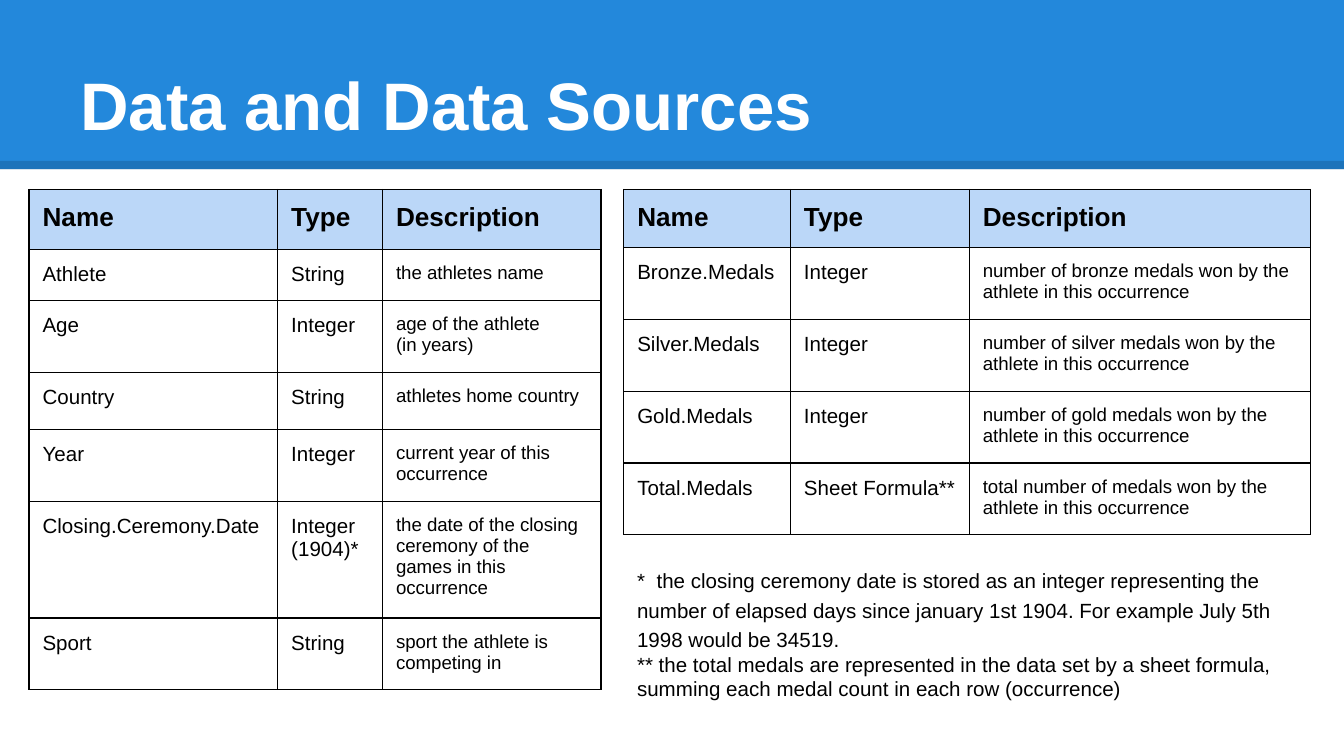
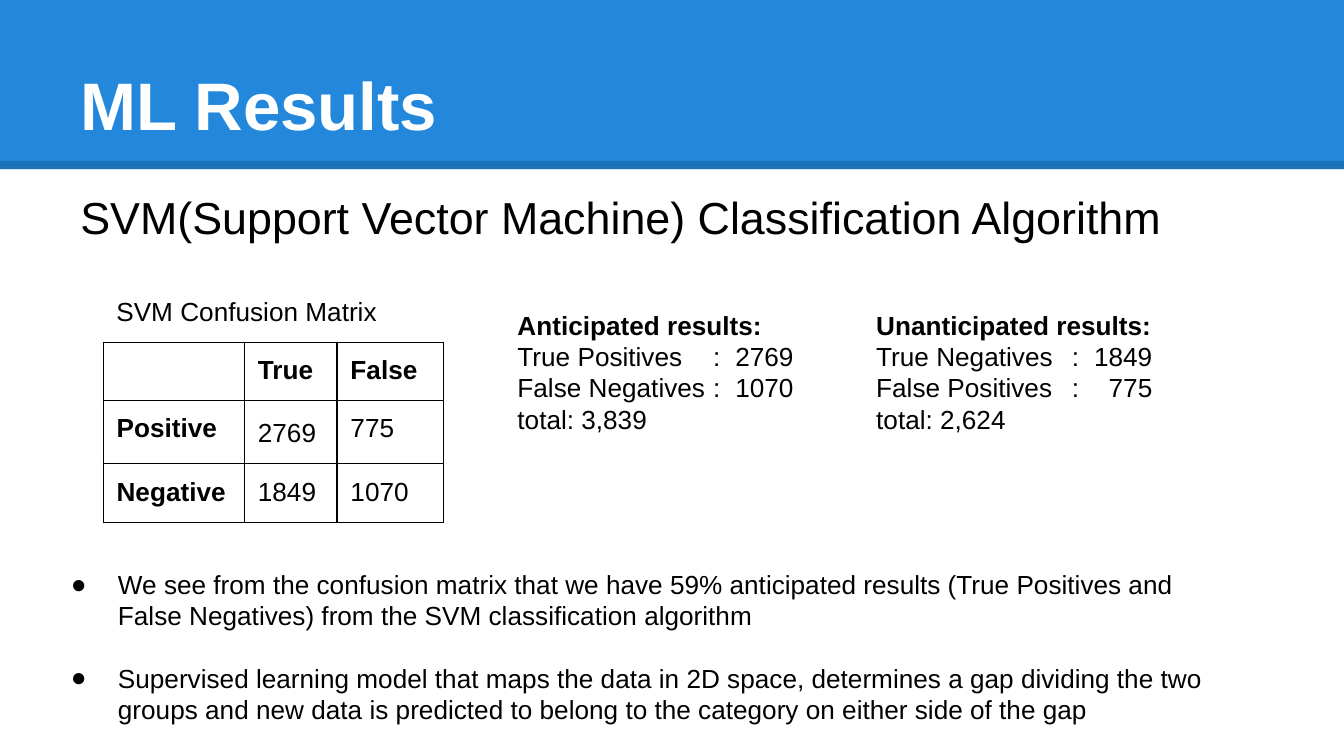
from dataclasses import dataclass

from lxml.etree import SubElement
from pptx import Presentation
from pptx.dml.color import RGBColor
from pptx.enum.shapes import MSO_CONNECTOR, MSO_SHAPE
from pptx.enum.text import MSO_ANCHOR
from pptx.oxml.ns import qn
from pptx.util import Cm, Pt

COLORS = {"band": "2388DB", "header": "BBD7F8", "ink": "000000", "paper": "FFFFFF"}
FONT = "Arial"
INSET = Cm(0.254)


@dataclass
class Line:
    """One paragraph and its formatting; tabs are (position in cm, alignment)."""
    text: str
    size: float = 14
    bold: bool = False
    color: str = "ink"
    spacing: float = 1.0
    before: float = 0
    bullet: bool = False
    tabs: tuple = ()


def rgb(name):
    return RGBColor.from_string(COLORS[name])


class Board:
    def __init__(self, width, height):
        self.deck = Presentation()
        self.deck.slide_width = Cm(width)
        self.deck.slide_height = Cm(height)
        self.page = None

    def new_page(self, title):
        self.page = self.deck.slides.add_slide(self.deck.slide_layouts[6])
        self.band()
        self.text((1.27, 0.58, 22.86, 2.39),
                  [Line(title, 36, True, "paper")], MSO_ANCHOR.BOTTOM)

    def band(self):
        box = self.page.shapes.add_shape(
            MSO_SHAPE.RECTANGLE, 0, 0, self.deck.slide_width, Cm(3.2))
        box.shadow.inherit = False
        box.fill.solid()
        box.fill.fore_color.rgb = rgb("band")
        box.line.fill.background()
        # Translucent edge along the foot of the band
        edge = self.page.shapes.add_connector(
            MSO_CONNECTOR.STRAIGHT, 0, Cm(3.12), self.deck.slide_width, Cm(3.12))
        edge.line.color.rgb = rgb("ink")
        edge.line.width = Pt(4.5)
        properties = edge._element.spPr
        color = properties.find(".//" + qn("a:srgbClr"))
        SubElement(color, qn("a:alpha")).set("val", "15000")
        SubElement(properties, qn("a:effectLst"))

    def fill_text(self, frame, lines):
        for index, line in enumerate(lines):
            para = frame.add_paragraph() if index else frame.paragraphs[0]
            para.line_spacing = line.spacing
            para.space_before = Pt(line.before)
            properties = para._p.get_or_add_pPr()
            if line.bullet:
                properties.set("marL", str(Cm(1.27)))
                properties.set("indent", str(-Cm(0.89)))
                color = SubElement(properties, qn("a:buClr"))
                SubElement(color, qn("a:srgbClr")).set("val", COLORS["ink"])
                SubElement(properties, qn("a:buFont")).set("typeface", FONT)
                SubElement(properties, qn("a:buChar")).set("char", "●")
            if line.tabs:
                stops = SubElement(properties, qn("a:tabLst"))
                for position, align in line.tabs:
                    stop = SubElement(stops, qn("a:tab"))
                    stop.set("pos", str(Cm(position)))
                    stop.set("algn", align)
            if line.text:
                span = para.add_run()
                span.text = line.text
                span.font.name = FONT
                span.font.size = Pt(line.size)
                span.font.bold = line.bold
                span.font.color.rgb = rgb(line.color)
            else:
                end = SubElement(para._p, qn("a:endParaRPr"))
                end.set("sz", str(int(line.size * 100)))

    def text(self, place, lines, anchor=MSO_ANCHOR.TOP):
        box = self.page.shapes.add_textbox(*map(Cm, place))
        frame = box.text_frame
        frame.word_wrap = True
        frame.vertical_anchor = anchor
        frame.margin_left = frame.margin_right = INSET
        frame.margin_top = frame.margin_bottom = INSET
        self.fill_text(frame, lines)

    def table(self, left, top, widths, heights, rows, style, header_fill=None):
        """style(row, column) gives the Line options of a cell."""
        table = self.page.shapes.add_table(
            len(rows), len(widths), Cm(left), Cm(top),
            Cm(sum(widths)), Cm(sum(heights))).table
        table.first_row = table.horz_banding = False
        for column, width in zip(table.columns, widths):
            column.width = Cm(width)
        for r, (height, values) in enumerate(zip(heights, rows)):
            table.rows[r].height = Cm(height)
            for c, value in enumerate(values):
                cell = table.cell(r, c)
                cell.margin_left = cell.margin_right = INSET
                cell.margin_top = cell.margin_bottom = INSET
                self.borders(cell)
                if header_fill and r == 0:
                    cell.fill.solid()
                    cell.fill.fore_color.rgb = rgb(header_fill)
                else:
                    cell.fill.background()
                self.fill_text(cell.text_frame, [
                    Line(part, **style(r, c)) for part in value.split("\n")])

    def borders(self, cell):
        properties = cell._tc.get_or_add_tcPr()
        for side in ("lnL", "lnR", "lnT", "lnB"):
            border = SubElement(properties, qn("a:" + side))
            border.set("w", str(Pt(0.75)))
            fill = SubElement(border, qn("a:solidFill"))
            SubElement(fill, qn("a:srgbClr")).set("val", COLORS["ink"])


def field_style(row, column):
    if row == 0:
        return {"size": 14, "bold": True}
    return {"size": 10 if column == 2 else 11}


def matrix_style(row, column):
    return {"bold": row == 0 or column == 0,
            "spacing": 1.16 if (row, column) == (1, 1) else 1.0}


def data_sources(board):
    board.new_page("Data and Data Sources")
    header = ("Name", "Type", "Description")

    # Field tables
    board.table(0.55, 3.58, (4.7, 1.98, 4.13),
                (1.13, 0.97, 1.3, 1.08, 1.29, 2.08, 1.3), [
        header,
        ("Athlete", "String", "the athletes name"),
        ("Age", "Integer", "age of the athlete\n(in years)"),
        ("Country", "String", "athletes home country"),
        ("Year", "Integer", "current year of this occurrence"),
        ("Closing.Ceremony.Date", "Integer\n(1904)*",
         "the date of the closing ceremony of the games in this occurrence"),
        ("Sport", "String", "sport the athlete is competing in"),
    ], field_style, "header")
    medals = [(f"{kind}.Medals", "Integer",
               f"number of {kind.lower()} medals won by the athlete in this occurrence")
              for kind in ("Bronze", "Silver", "Gold")]
    total = ("Total.Medals", "Sheet Formula**",
             "total number of medals won by the athlete in this occurrence")
    board.table(11.79, 3.58, (3.15, 3.38, 6.44), (1.08,) + (1.3,) * 4,
                [header, *medals, total], field_style, "header")

    # Footnotes
    board.text((11.79, 10.39, 12.98, 3.28), [
        Line("*\tthe closing ceremony date is stored as an integer representing the "
             "number of elapsed days since january 1st 1904. For example July 5th "
             "1998 would be 34519.", 11, spacing=1.2, tabs=((0.37, "l"),)),
        Line("** the total medals are represented in the data set by a sheet formula, "
             "summing each medal count in each row (occurrence)", 11),
    ])


def ml_results(board):
    board.new_page("ML Results")
    board.text((1.27, 3.33, 22.86, 1.6),
               [Line("SVM(Support Vector Machine) Classification Algorithm", 24)])

    # Confusion matrix
    board.table(1.95, 6.47, (2.67, 1.75, 2.01), (1.07, 1.15, 1.07), [
        ("", "True", "False"),
        ("Positive", "2769", "775"),
        ("Negative", "1849", "1070"),
    ], matrix_style)
    board.text((1.95, 5.33, 9.93, 1.02), [Line("SVM Confusion Matrix")])

    # Result counts, with colons and figures lined up by tab stops
    groups = (
        (9.53, "Anticipated results:",
         (("True Positives", "2769"), ("False Negatives", "1070")), "3,839"),
        (16.31, "Unanticipated results:",
         (("True Negatives", "1849"), ("False Positives", "775")), "2,624"),
    )
    stops = ((3.7, "l"), (5.22, "r"))
    for left, heading, counts, total in groups:
        board.text((left, 5.59, 6.1, 3.2), [
            Line(heading, bold=True),
            *(Line(f"{name}\t:\t{count}", tabs=stops) for name, count in counts),
            Line(f"total: {total}"),
        ])

    # Findings
    board.text((0.71, 10.49, 22.4, 3.2), [
        Line("We see from the confusion matrix that we have 59% anticipated results "
             "(True Positives and False Negatives) from the SVM classification "
             "algorithm", bullet=True),
        Line("Supervised learning model that maps the data in 2D space, determines a "
             "gap dividing the two groups and new data is predicted to belong to the "
             "category on either side of the gap", bullet=True, before=16.5),
    ])


def main():
    board = Board(25.4, 14.29)
    data_sources(board)
    ml_results(board)
    board.deck.save("out.pptx")


if __name__ == "__main__":
    main()
